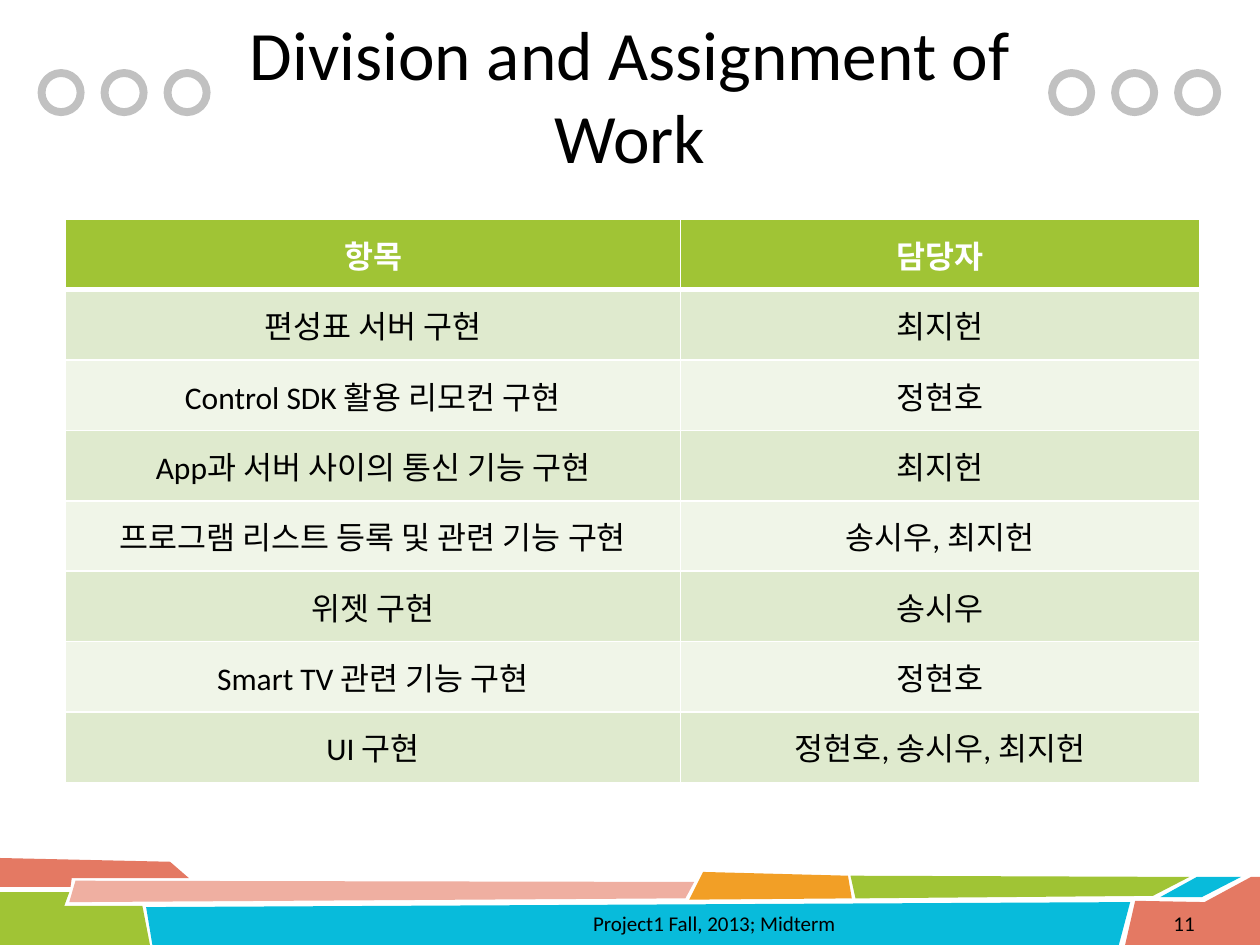
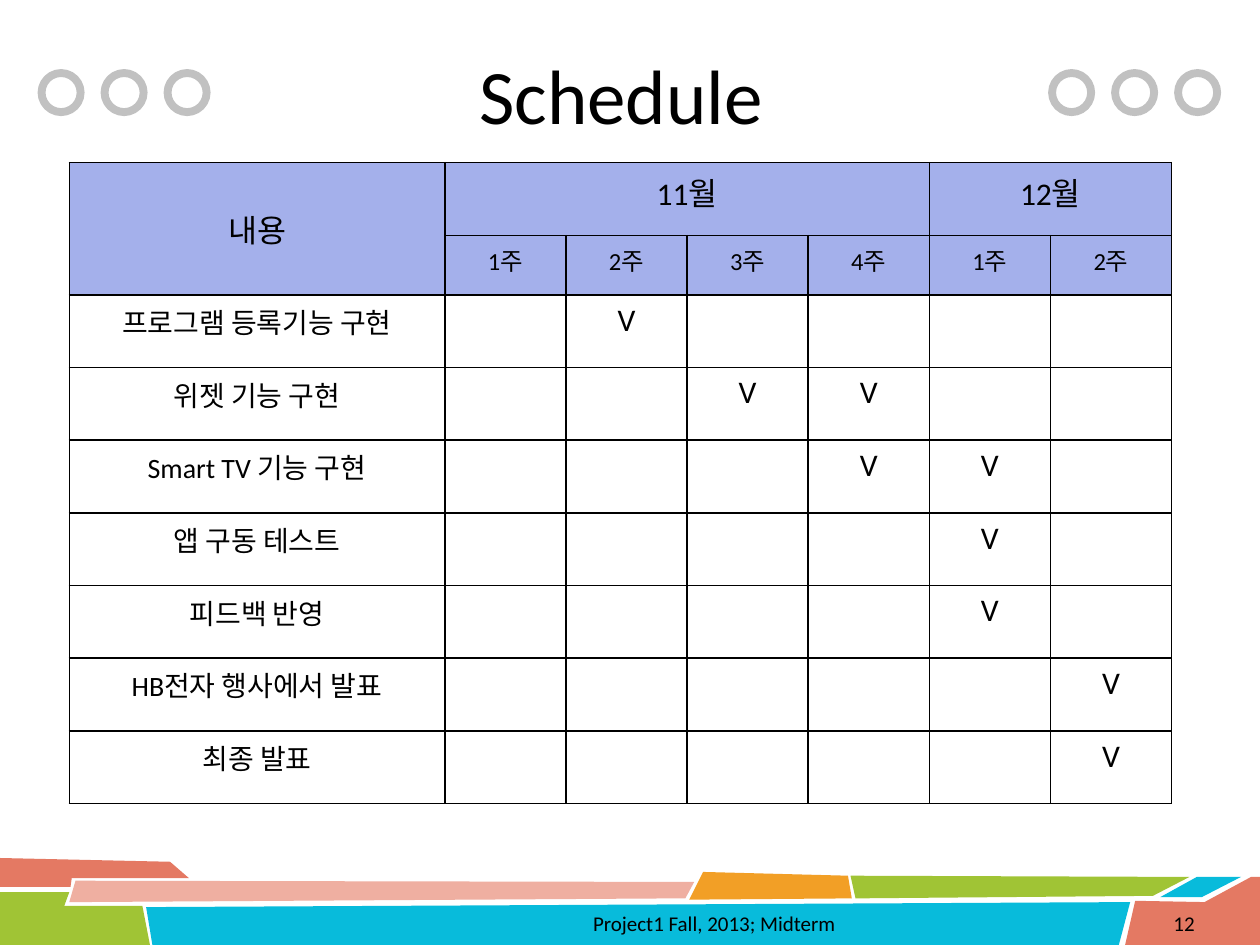
from lxml import etree
from pptx import Presentation
from pptx import util as u
from pptx.dml.color import RGBColor
from pptx.enum import shapes, text
from pptx.oxml import ns

SCALE = 9144
FONT = "Calibri"
BLACK = RGBColor(0x00, 0x00, 0x00)
WHITE = RGBColor(0xFF, 0xFF, 0xFF)
CORAL = RGBColor(0xE4, 0x79, 0x63)
PINK = RGBColor(0xEF, 0xAF, 0xA1)
GREEN = RGBColor(0xA0, 0xC4, 0x35)
BLUE = RGBColor(0x08, 0xBB, 0xDB)
ORANGE = RGBColor(0xF2, 0x9F, 0x26)
GRAY = RGBColor(0xC1, 0xC1, 0xC1)
LIME = RGBColor(0xDF, 0xEA, 0xCE)
PALE_LIME = RGBColor(0xF0, 0xF5, 0xE8)
LAVENDER = RGBColor(0xA4, 0xB0, 0xEB)

CENTER = text.PP_ALIGN.CENTER
RIGHT = text.PP_ALIGN.RIGHT
MIDDLE = text.MSO_ANCHOR.MIDDLE
TOP = text.MSO_ANCHOR.TOP

FOOTER = "Project1 Fall, 2013; Midterm"
TITLE_BOX = (175, 12, 650, 125)
FOOTER_BOX = (292, 720, 550, 25)
NUMBER_BOX = (908, 720, 50, 25)

BANDS = [
    (CORAL, [(0, 681), (135, 684), (150, 697), (57, 697), (56, 704), (0, 704)]),
    (GREEN, [(0, 708), (55, 708), (51, 719), (113, 719), (119, 750), (0, 750)]),
    (PINK, [(60, 699), (551, 700), (544, 713), (55, 716)]),
    (BLUE, [(116, 720), (897, 716), (888, 750), (121, 750)]),
    (ORANGE, [(558, 692), (673, 695), (676, 713), (547, 714)]),
    (GREEN, [(675, 695), (944, 696), (915, 711), (679, 713)]),
    (BLUE, [(950, 696), (985, 696), (954, 712), (921, 712)]),
    (CORAL, [(901, 715), (956, 716), (993, 696), (1000, 696), (1000, 750), (893, 750)]),
]
RING_GROUPS = (33, 835)
RING_STEP, RING_TOP, RING_SIZE = 50, 58, 31

TASKS = [
    ("항목", "담당자"),
    ("편성표 서버 구현", "최지헌"),
    ("Control SDK 활용 리모컨 구현", "정현호"),
    ("App과 서버 사이의 통신 기능 구현", "최지헌"),
    ("프로그램 리스트 등록 및 관련 기능 구현", "송시우, 최지헌"),
    ("위젯 구현", "송시우"),
    ("Smart TV 관련 기능 구현", "정현호"),
    ("UI 구현", "정현호, 송시우, 최지헌"),
]
MONTHS = [("11월", 4), ("12월", 2)]
SCHEDULE = [
    ("프로그램 등록기능 구현", [2]),
    ("위젯 기능 구현", [3, 4]),
    ("Smart TV 기능 구현", [4, 5]),
    ("앱 구동 테스트", [5]),
    ("피드백 반영", [5]),
    ("HB전자 행사에서 발표", [6]),
    ("최종 발표", [6]),
]


def px(value):
    return u.Emu(round(value * SCALE))


def write(frame, words, size, align=CENTER, color=BLACK, bold=False):
    paragraph = frame.paragraphs[0]
    paragraph.alignment = align
    run = paragraph.add_run()
    run.text = words
    run.font.color.rgb = color
    for name, value in {"name": FONT, "size": u.Pt(size), "bold": bold}.items():
        setattr(run.font, name, value)


def add_text(slide, box, words, size, align=CENTER):
    frame = slide.shapes.add_textbox(*map(px, box)).text_frame
    frame.word_wrap = True
    frame.vertical_anchor = MIDDLE
    write(frame, words, size, align)


def add_band(slide, color, points):
    builder = slide.shapes.build_freeform(*points[0], scale=SCALE)
    builder.add_line_segments(points[1:], close=True)
    band = builder.convert_to_shape()
    band.shadow.inherit = False
    band.fill.solid()
    band.fill.fore_color.rgb = color
    band.line.fill.background()


def add_ring(slide, left):
    box = (left, RING_TOP, RING_SIZE, RING_SIZE)
    ring = slide.shapes.add_shape(shapes.MSO_SHAPE.OVAL, *map(px, box))
    ring.shadow.inherit = False
    ring.fill.background()
    ring.line.color.rgb = GRAY
    ring.line.width = u.Pt(4.5)


def add_slide(presentation, title, title_size, number):
    slide = presentation.slides.add_slide(presentation.slide_layouts[6])
    for color, points in BANDS:
        add_band(slide, color, points)
    for start in RING_GROUPS:
        for index in range(3):
            add_ring(slide, start + index * RING_STEP)
    add_text(slide, TITLE_BOX, title, title_size)
    add_text(slide, FOOTER_BOX, FOOTER, 12)
    add_text(slide, NUMBER_BOX, str(number), 12, RIGHT)
    return slide


def add_grid(slide, left, top, widths, heights):
    box = (left, top, sum(widths), sum(heights))
    frame = slide.shapes.add_table(len(heights), len(widths), *map(px, box))
    table = frame.table
    table.first_row = table.horz_banding = False
    for column, width in zip(table.columns, widths):
        column.width = px(width)
    for row, height in zip(table.rows, heights):
        row.height = px(height)
    return table


def style_cell(cell, fill, border, anchor, top_width=1, bottom_width=1):
    cell.vertical_anchor = anchor
    if fill is None:
        cell.fill.background()
    else:
        cell.fill.solid()
        cell.fill.fore_color.rgb = fill
    properties = cell._tc.get_or_add_tcPr()
    sides = {"lnL": 1, "lnR": 1, "lnT": top_width, "lnB": bottom_width}
    for index, (side, width) in enumerate(sides.items()):
        line = etree.Element(ns.qn("a:" + side), w=str(u.Pt(width)))
        solid = etree.SubElement(line, ns.qn("a:solidFill"))
        etree.SubElement(solid, ns.qn("a:srgbClr"), val=str(border))
        properties.insert(index, line)


def add_tasks(slide):
    count = len(TASKS)
    table = add_grid(slide, 52, 174, [488, 412], [447 / count] * count)
    for row, words in enumerate(TASKS):
        header = row == 0
        fill = GREEN if header else LIME if row % 2 else PALE_LIME
        for column, label in enumerate(words):
            cell = table.cell(row, column)
            style_cell(cell, fill, WHITE, MIDDLE, 3 if row == 1 else 1, 3 if header else 1)
            write(cell.text_frame, label, 18, color=WHITE if header else BLACK, bold=header)


def add_schedule(slide):
    weeks = sum(span for _, span in MONTHS)
    count = len(SCHEDULE)
    widths = [298] + [577 / weeks] * weeks
    table = add_grid(slide, 55, 129, widths, [58, 47] + [404 / count] * count)
    for row in range(count + 2):
        for column in range(weeks + 1):
            anchor = MIDDLE if row < 2 and column == 0 else TOP
            style_cell(table.cell(row, column), LAVENDER if row < 2 else None, BLACK, anchor)

    table.cell(0, 0).merge(table.cell(1, 0))
    write(table.cell(0, 0).text_frame, "내용", 18)
    first = 1
    for month, span in MONTHS:
        table.cell(0, first).merge(table.cell(0, first + span - 1))
        write(table.cell(0, first).text_frame, month, 18)
        for week in range(span):
            write(table.cell(1, first + week).text_frame, f"{week + 1}주", 14)
        first += span
    for row, (work, marks) in enumerate(SCHEDULE, 2):
        write(table.cell(row, 0).text_frame, work, 16)
        for mark in marks:
            write(table.cell(row, mark).text_frame, "V", 18)


def main():
    presentation = Presentation()
    presentation.slide_width = px(1000)
    presentation.slide_height = px(750)
    add_tasks(add_slide(presentation, "Division and Assignment of Work", 39.6, 11))
    add_schedule(add_slide(presentation, "Schedule ", 44, 12))
    presentation.save("out.pptx")


if __name__ == "__main__":
    main()
